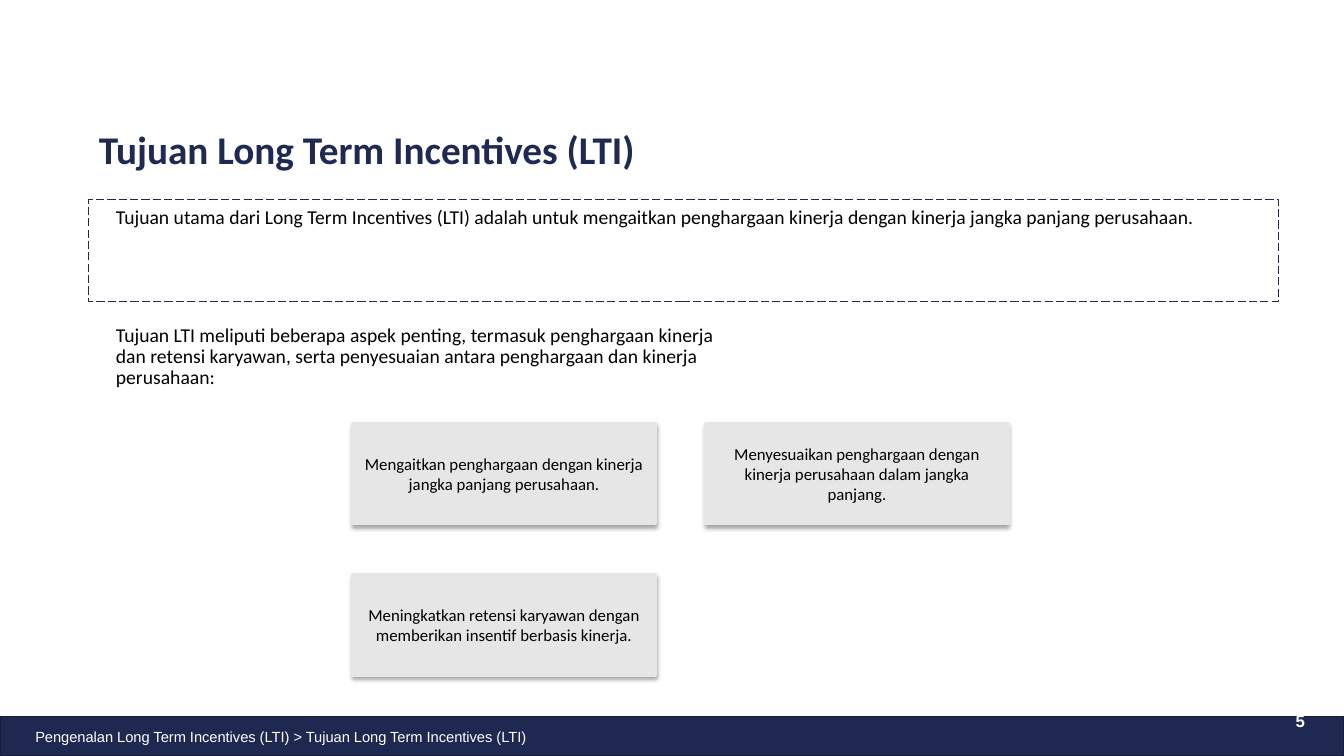
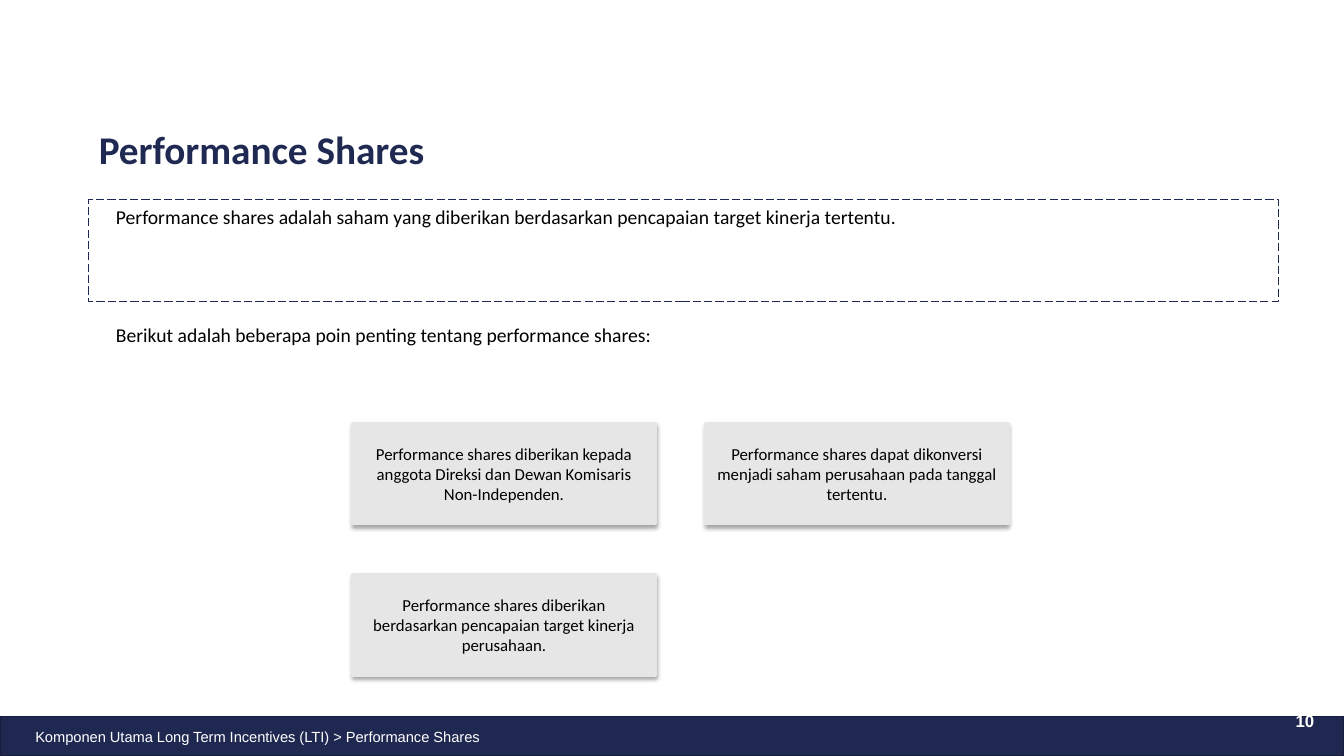
from lxml import etree
from pptx import Presentation
from pptx.dml.color import RGBColor
from pptx.enum.dml import MSO_LINE
from pptx.enum.shapes import MSO_SHAPE
from pptx.enum.text import MSO_ANCHOR, MSO_AUTO_SIZE, PP_ALIGN
from pptx.oxml.ns import qn
from pptx.util import Inches, Pt

RECTANGLE = MSO_SHAPE.RECTANGLE
LONG_DASH = MSO_LINE.LONG_DASH
TOP, MIDDLE = MSO_ANCHOR.TOP, MSO_ANCHOR.MIDDLE
LEFT, CENTER = PP_ALIGN.LEFT, PP_ALIGN.CENTER
NO_AUTOFIT = MSO_AUTO_SIZE.NONE

# Shared look
NAVY, NAVY_EDGE, TITLE_NAVY = "1F2851", "161D3B", "1F2952"
GREY, BLACK, WHITE = "E7E6E6", "000000", "FFFFFF"
HEADING_FONT, FOOTER_FONT = "Calibri", "Arial"
SLIDE_WIDTH, SLIDE_HEIGHT = 13.33, 7.5
COMPARISON_LAYOUT = 4  # a title and four text placeholders

# Shared places: left, top, width, height
BAND = (0, 7.11, SLIDE_WIDTH, 0.39)
TITLE = (0.88, 1.13, 11.8, 0.76)
DEFINITION = (0.88, 1.98, 11.8, 1.01)
INTRO = (0.88, 3.18, 6.39, 0.4)
BREADCRUMB = (0, 7.11, 11.92, 0.4)
PAGE_NUMBER = (12.58, 7.02, 0.66, 0.57)

# Card grid
GRID_LEFT, GRID_TOP, GRID_COLUMNS = 3.5, 4.2, 2
CARD_WIDTH, CARD_HEIGHT, CARD_GAP = 3, 1, 0.5

SLIDES = [
    {
        "title": "Tujuan Long Term Incentives (LTI)",
        "section": "Pengenalan Long Term Incentives (LTI)",
        "page": "5",
        "definition": "Tujuan utama dari Long Term Incentives (LTI) adalah untuk mengaitkan "
                      "penghargaan kinerja dengan kinerja jangka panjang perusahaan.",
        "intro": "Tujuan LTI meliputi beberapa aspek penting, termasuk penghargaan kinerja "
                 "dan retensi karyawan, serta penyesuaian antara penghargaan dan kinerja "
                 "perusahaan:",
        "cards": [
            "Mengaitkan penghargaan dengan kinerja jangka panjang perusahaan.",
            "Menyesuaikan penghargaan dengan kinerja perusahaan dalam jangka panjang.",
            "Meningkatkan retensi karyawan dengan memberikan insentif berbasis kinerja.",
        ],
    },
    {
        "title": "Performance Shares",
        "section": "Komponen Utama Long Term Incentives (LTI)",
        "page": "10",
        "definition": "Performance shares adalah saham yang diberikan berdasarkan pencapaian "
                      "target kinerja tertentu.",
        "intro": "Berikut adalah beberapa poin penting tentang performance shares:",
        "cards": [
            "Performance shares diberikan kepada anggota Direksi dan Dewan Komisaris "
            "Non-Independen.",
            "Performance shares dapat dikonversi menjadi saham perusahaan pada tanggal "
            "tertentu.",
            "Performance shares diberikan berdasarkan pencapaian target kinerja perusahaan.",
        ],
    },
]


def color(value):
    return RGBColor.from_string(value)


def place(shape, box):
    shape.left, shape.top, shape.width, shape.height = map(Inches, box)


def set_line(shape, line_color, width, dash=None):
    shape.line.color.rgb = color(line_color)
    shape.line.width = Pt(width)
    if dash is not None:
        shape.line.dash_style = dash


def write_text(shape, text, *, size, text_color=BLACK, font=HEADING_FONT, bold=False,
               align=LEFT, anchor=TOP, margin=0, indent=0, line_spacing=1.0,
               space_before=0):
    frame = shape.text_frame
    frame.text = text
    frame.word_wrap = True
    frame.auto_size = NO_AUTOFIT
    frame.vertical_anchor = anchor
    paragraph = frame.paragraphs[0]
    paragraph.alignment = align
    paragraph.line_spacing = line_spacing
    paragraph.space_before = Pt(space_before)
    run_font = paragraph.runs[0].font
    run_font.name, run_font.size, run_font.bold = font, Pt(size), bold
    run_font.color.rgb = color(text_color)
    # Indents and the absence of a bullet
    properties = paragraph._p.get_or_add_pPr()
    properties.set("marL", str(Inches(margin)))
    properties.set("indent", str(Inches(indent)))
    etree.SubElement(properties, qn("a:buNone"))


def add_box(slide, box, fill, line_color, line_width):
    shape = slide.shapes.add_shape(RECTANGLE, *map(Inches, box))
    shape.shadow.inherit = False
    shape.fill.solid()
    shape.fill.fore_color.rgb = color(fill)
    set_line(shape, line_color, line_width)
    return shape


def add_shadow(shape):
    effects = shape.element.spPr.find(qn("a:effectLst"))
    shadow = etree.SubElement(effects, qn("a:outerShdw"), blurRad=str(Pt(3.1)),
                              dist=str(Pt(1.8)), dir=str(90 * 60000), rotWithShape="0")
    shade = etree.SubElement(shadow, qn("a:srgbClr"), val=BLACK)
    etree.SubElement(shade, qn("a:alpha"), val="35000")


def add_cards(slide, texts):
    for index, text in enumerate(texts):
        row, column = divmod(index, GRID_COLUMNS)
        left = GRID_LEFT + column * (CARD_WIDTH + CARD_GAP)
        top = GRID_TOP + row * (CARD_HEIGHT + CARD_GAP)
        card = add_box(slide, (left, top, CARD_WIDTH, CARD_HEIGHT), GREY, GREY, 2)
        add_shadow(card)
        write_text(card, text, size=12, align=CENTER, anchor=MIDDLE)


def add_layout_band(slide):
    """Draw the footer band and hand it to the layout that the slides share."""
    band = add_box(slide, BAND, NAVY, NAVY_EDGE, 1)
    slide.slide_layout.shapes.element.append(band.element)


def fill_slide(slide, content):
    title = slide.shapes.title
    definition, intro, breadcrumb, page_number = [
        slide.placeholders[index] for index in range(1, 5)]

    # Heading and text
    place(title, TITLE)
    write_text(title, content["title"], size=28, text_color=TITLE_NAVY, bold=True,
               anchor=MIDDLE, line_spacing=0.9)
    place(definition, DEFINITION)
    set_line(definition, NAVY, 0.75, LONG_DASH)
    write_text(definition, content["definition"], size=14, margin=0.17, space_before=10)
    place(intro, INTRO)
    write_text(intro, content["intro"], size=14, margin=0.17, line_spacing=0.9)

    # Footer
    place(breadcrumb, BREADCRUMB)
    write_text(breadcrumb, f"{content['section']} > {content['title']}", size=10.5,
               text_color=WHITE, font=FOOTER_FONT, anchor=MIDDLE, margin=0.5, indent=-0.25)
    place(page_number, PAGE_NUMBER)
    write_text(page_number, content["page"], size=12, text_color=WHITE, font=FOOTER_FONT,
               bold=True, margin=0.17, line_spacing=0.9, space_before=10)

    add_cards(slide, content["cards"])


def main():
    presentation = Presentation()
    presentation.slide_width = Inches(SLIDE_WIDTH)
    presentation.slide_height = Inches(SLIDE_HEIGHT)
    layout = presentation.slide_layouts[COMPARISON_LAYOUT]
    for content in SLIDES:
        fill_slide(presentation.slides.add_slide(layout), content)
    add_layout_band(presentation.slides[0])
    presentation.save("out.pptx")


if __name__ == "__main__":
    main()
